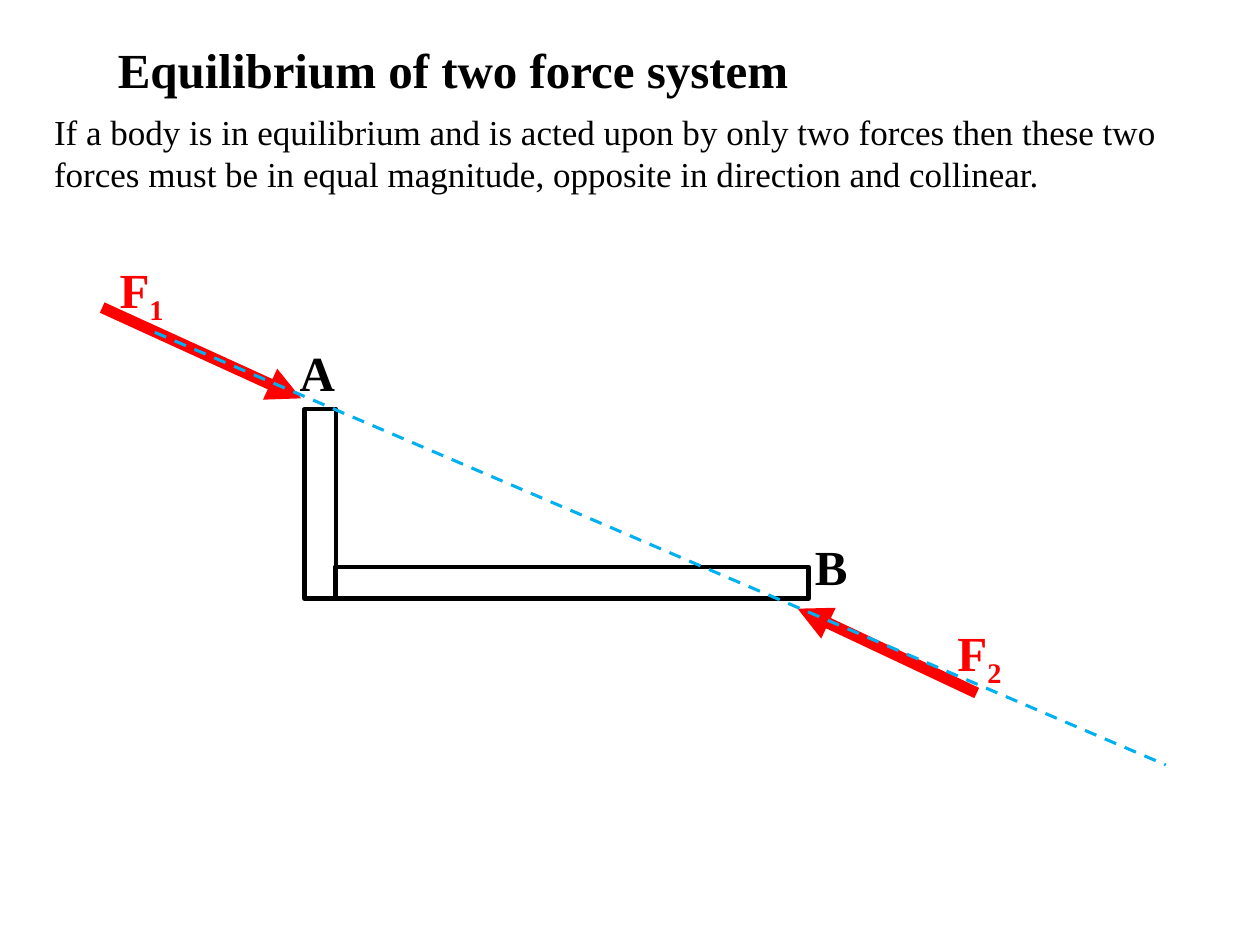
"""Build a slide on the equilibrium of a two force system."""
from lxml import etree
from pptx import Presentation
from pptx import util as u
from pptx.dml.color import RGBColor
from pptx.enum import dml, shapes, text
from pptx.oxml import ns

BLACK = RGBColor(0x00, 0x00, 0x00)
RED = RGBColor(0xFF, 0x00, 0x00)
BLUE = RGBColor(0x00, 0xB0, 0xF0)


class SlideBuilder:
    """Hold the text style and the current slide."""

    font_name = "Times New Roman"
    heading_size = 28
    body_size = 20

    def __init__(self, slide):
        self.slide = slide

    def format_text(self, shape, size, color, bold):
        frame = shape.text_frame
        frame.word_wrap = True
        frame.auto_size = text.MSO_AUTO_SIZE.NONE
        frame.vertical_anchor = text.MSO_ANCHOR.TOP
        for paragraph in frame.paragraphs:
            paragraph.alignment = text.PP_ALIGN.LEFT
            for run in paragraph.runs:
                run.font.name = self.font_name
                run.font.size = u.Pt(size)
                run.font.bold = bold
                run.font.color.rgb = color

    def title(self, words, left, top, width, height):
        shape = self.slide.shapes.title
        shape.left, shape.top = u.Cm(left), u.Cm(top)
        shape.width, shape.height = u.Cm(width), u.Cm(height)
        shape.text_frame.text = words
        self.format_text(shape, self.heading_size, BLACK, True)

    def text_box(self, words, left, top, width, height):
        shape = self.slide.shapes.add_textbox(u.Cm(left), u.Cm(top), u.Cm(width), u.Cm(height))
        shape.text_frame.text = words
        self.format_text(shape, self.body_size, BLACK, False)

    def label(self, letter, left, top, width, color=BLACK, subscript=None):
        shape = self.slide.shapes.add_textbox(u.Cm(left), u.Cm(top), u.Cm(width), u.Cm(1.45))
        shape.text_frame.text = letter
        if subscript:
            run = shape.text_frame.paragraphs[0].add_run()
            run.text = subscript
            run.font._element.set("baseline", "-25000")
        self.format_text(shape, self.heading_size, color, True)

    def bracket(self, *bars):
        group = self.slide.shapes.add_group_shape()
        for bar in bars:
            shape = group.shapes.add_shape(
                shapes.MSO_SHAPE.RECTANGLE, *(u.Cm(length) for length in bar))
            shape.shadow.inherit = False
            shape.fill.background()
            shape.line.color.rgb = BLACK
            shape.line.width = u.Pt(2.5)

    def line(self, start, end, color, width):
        connector = self.slide.shapes.add_connector(
            shapes.MSO_CONNECTOR.STRAIGHT, *(u.Cm(length) for length in start + end))
        connector.line.color.rgb = color
        connector.line.width = u.Pt(width)
        etree.SubElement(connector._element.spPr, ns.qn("a:effectLst"))
        return connector

    def force(self, start, end):
        connector = self.line(start, end, RED, 6.5)
        etree.SubElement(connector.line._get_or_add_ln(), ns.qn("a:tailEnd"), type="triangle")

    def line_of_action(self, start, end):
        connector = self.line(start, end, BLUE, 1.75)
        connector.line.dash_style = dml.MSO_LINE.DASH


def main():
    presentation = Presentation()
    presentation.slide_width, presentation.slide_height = u.Cm(25.4), u.Cm(19.05)
    builder = SlideBuilder(presentation.slides.add_slide(presentation.slide_layouts[5]))

    builder.title("Equilibrium of two force system", 2.12, 0.66, 16.7, 1.45)
    builder.text_box(
        "If a body is in equilibrium and is acted upon by only two forces then these two "
        "forces must be in equal magnitude, opposite in direction and collinear.",
        0.84, 2.11, 23.29, 1.96)

    builder.bracket((6.14, 8.25, 0.64, 3.82), (6.75, 11.43, 9.55, 0.64))
    builder.force((19.69, 13.97), (16.08, 12.27))
    builder.label("F", 19.05, 12.42, 1.9, RED, "2")
    builder.label("F", 2.16, 5.11, 1.9, RED, "1")
    builder.force((2.06, 6.2), (6.07, 8.03))
    builder.label("A", 5.79, 6.78, 1.2)
    builder.label("B", 16.18, 10.7, 1.47)
    builder.line_of_action((3.12, 6.7), (23.5, 15.42))

    presentation.save("out.pptx")


if __name__ == "__main__":
    main()
